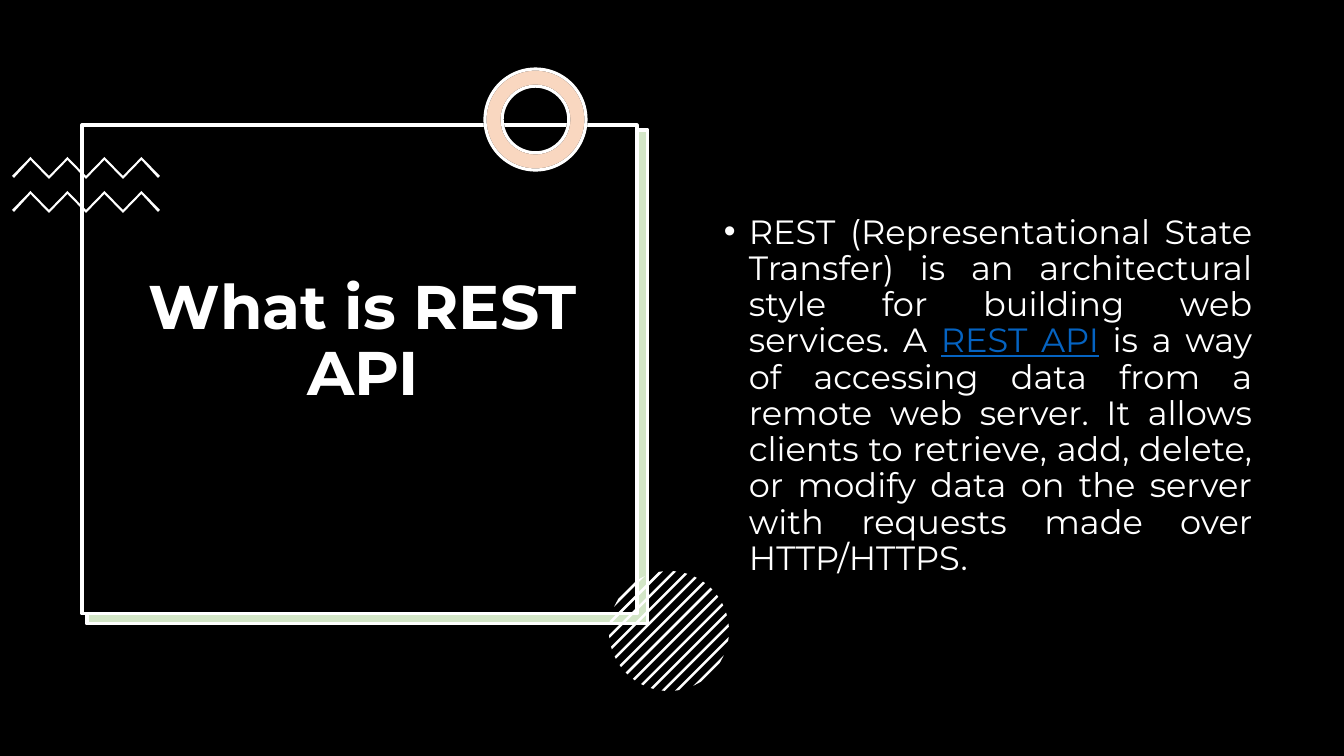
from dataclasses import dataclass
from math import sqrt

from lxml.etree import SubElement
from pptx import Presentation
from pptx.dml.color import RGBColor
from pptx.enum.shapes import MSO_SHAPE
from pptx.enum.text import MSO_ANCHOR, PP_ALIGN
from pptx.oxml.ns import qn
from pptx.util import Emu, Pt


@dataclass(frozen=True)
class Theme:
    black: str = "000000"
    white: str = "FFFFFF"
    green: str = "70AD47"
    orange: str = "ED7D31"
    blue: str = "0563C1"
    font: str = "Montserrat"
    head: int = 44
    body: int = 24
    edge: float = 2.25


THEME = Theme()
SCALE = 12192000 / 1344


def px(n):
    return Emu(round(n * SCALE))


def paint(shape, fill, line=None, alpha=None):
    shape.shadow.inherit = False
    shape.fill.solid()
    shape.fill.fore_color.rgb = RGBColor.from_string(fill)
    if alpha:
        tint = shape.fill._xPr.find(".//" + qn("a:srgbClr"))
        SubElement(tint, qn("a:alpha")).set("val", str(alpha * 1000))
    if line:
        shape.line.color.rgb = RGBColor.from_string(line)
        shape.line.width = Pt(THEME.edge)
    else:
        shape.line.fill.background()


def preset(slide, kind, box, fill, line=None, alpha=None):
    shape = slide.shapes.add_shape(kind, *map(px, box))
    paint(shape, fill, line, alpha)
    return shape


def outline(slide, points):
    spots = [(px(x), px(y)) for x, y in points]
    pen = slide.shapes.build_freeform(*spots[0])
    pen.add_line_segments(spots[1:], close=True)
    paint(pen.convert_to_shape(), THEME.white)


def zigzag(slide, left, top, step, rise):
    upper = [(left + step * i / 2, top + (0 if i % 2 else rise)) for i in range(9)]
    lower = [(x, y + 3) for x, y in upper[1:-1]]
    (x0, y0), (x1, y1) = upper[0], upper[-1]
    outline(slide, upper + [(x1 - 2, y1 + 2)] + lower[::-1] + [(x0 + 2, y0 + 2)])


def ring(slide, box, fill, line, alpha=None):
    shape = preset(slide, MSO_SHAPE.DONUT, box, fill, line, alpha)
    shape.adjustments[0] = 0.17


def hatch(slide, cx, cy, radius):
    def chord(shift):
        half = sqrt(radius ** 2 / 2 - shift ** 2 / 4)
        mid = shift / 2
        return [(cx + mid - half, cy + mid + half), (cx + mid + half, cy + mid - half)]

    for k in range(-6, 7):
        mid = k * 13.5
        outline(slide, chord(mid - 1.8) + chord(mid + 1.8)[::-1])


def style(run, size, color, bold=False, under=False):
    font = run.font
    font.name = THEME.font
    font.size = Pt(size)
    font.bold = bold
    font.underline = under
    font.color.rgb = RGBColor.from_string(color)


def textbox(slide, box, align):
    frame = slide.shapes.add_textbox(*map(px, box)).text_frame
    frame.word_wrap = True
    para = frame.paragraphs[0]
    para.alignment = align
    para.line_spacing = 0.9
    return frame, para


def title(slide, box, text):
    frame, para = textbox(slide, box, PP_ALIGN.CENTER)
    frame.vertical_anchor = MSO_ANCHOR.MIDDLE
    frame.margin_bottom = px(72)
    para.text = text
    style(para.runs[0], THEME.head, THEME.white, bold=True)


def bullet(slide, box, parts):
    para = textbox(slide, box, PP_ALIGN.JUSTIFY)[1]
    para.space_before = Pt(10)
    props = para._p.get_or_add_pPr()
    props.set("marL", str(px(25)))
    props.set("indent", str(-px(25)))
    SubElement(props, qn("a:buFont")).set("typeface", "Arial")
    SubElement(props, qn("a:buChar")).set("char", "•")
    for text, color, under in parts:
        run = para.add_run()
        run.text = text
        style(run, THEME.body, color, under=under)


def main():
    deck = Presentation()
    deck.slide_width, deck.slide_height = px(1344), px(756)
    slide = deck.slides.add_slide(deck.slide_layouts[6])
    rect = MSO_SHAPE.RECTANGLE

    preset(slide, rect, (0, 0, 1344, 756), THEME.black)
    preset(slide, rect, (86, 131, 561, 494), THEME.white)
    preset(slide, rect, (87, 130, 561, 494), THEME.green, THEME.white, 30)
    preset(slide, rect, (82, 125, 555, 489), THEME.black, THEME.white)
    for top in (157, 191):
        zigzag(slide, 12, top, 37, 19)
    spot = (485, 69, 101, 101)
    ring(slide, spot, THEME.white, THEME.black)
    ring(slide, spot, THEME.orange, THEME.white, 30)
    hatch(slide, 669, 631, 60)

    title(slide, (93, 153, 540, 446), "What is REST API")
    bullet(slide, (714, 210, 548, 480), [
        ("REST (Representational State Transfer) is an architectural style "
         "for building web services. A ", THEME.white, False),
        ("REST API", THEME.blue, True),
        (" is a way of accessing data from a remote web server. It allows "
         "clients to retrieve, add, delete, or modify data on the server "
         "with requests made over HTTP/HTTPS.", THEME.white, False),
    ])
    deck.save("out.pptx")


if __name__ == "__main__":
    main()
